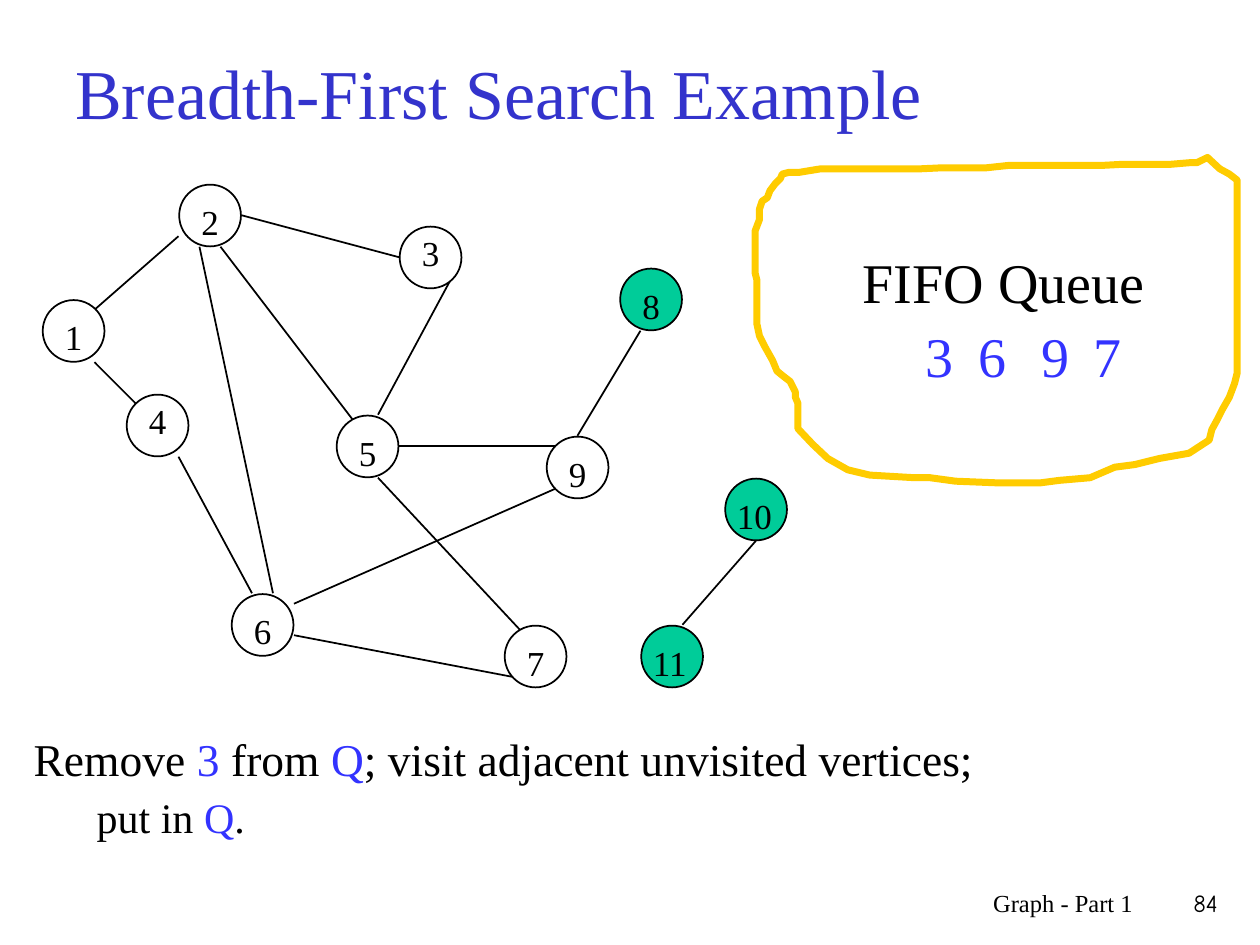
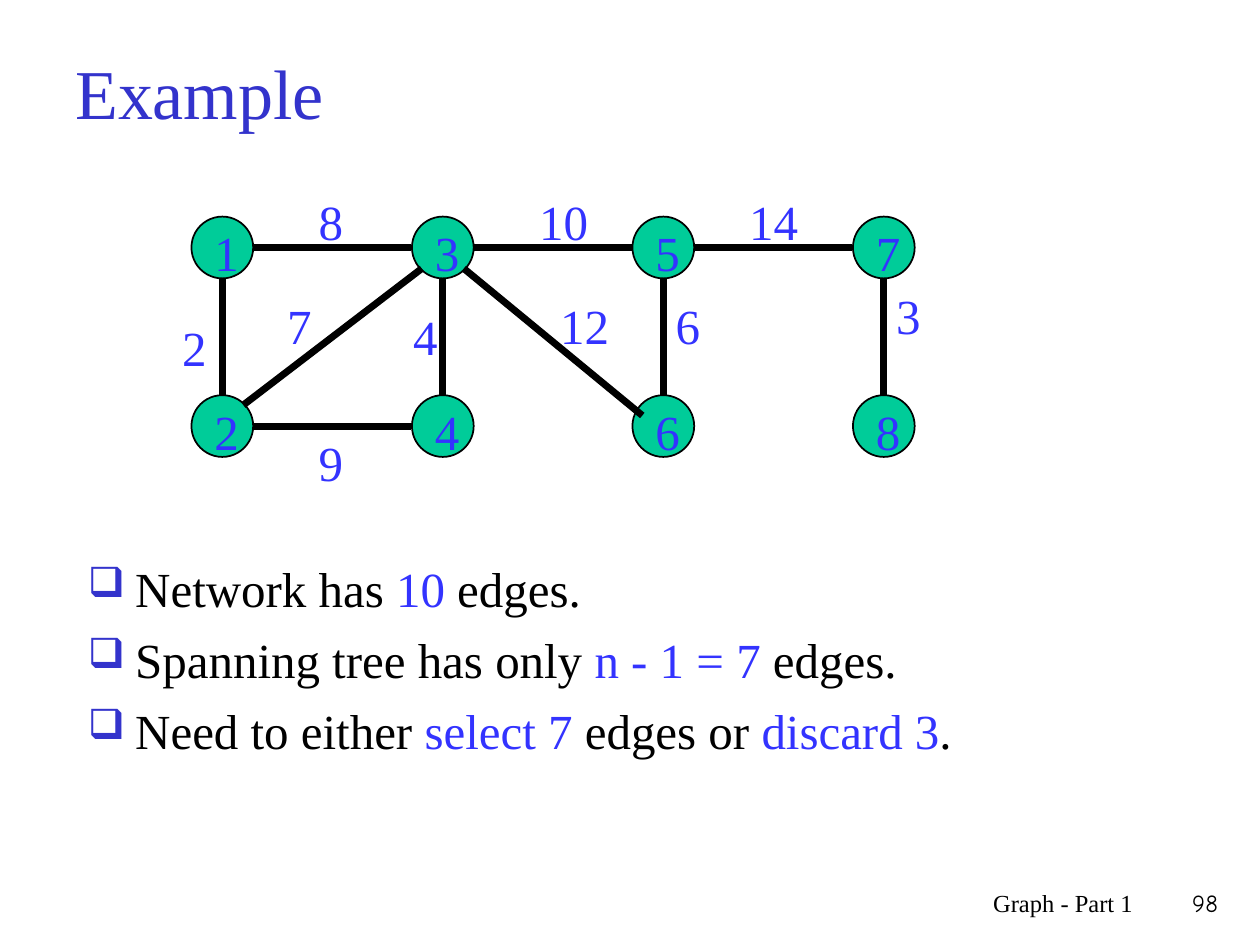
from pptx import Presentation
from pptx.dml.color import RGBColor
from pptx.enum.shapes import MSO_CONNECTOR, MSO_SHAPE
from pptx.enum.text import MSO_ANCHOR, PP_ALIGN
from pptx.oxml.ns import qn
from pptx.util import Pt
from lxml.etree import SubElement

BLACK = RGBColor(0x00, 0x00, 0x00)
WHITE = RGBColor(0xFF, 0xFF, 0xFF)
GREEN = RGBColor(0x00, 0xCC, 0x99)
GOLD = RGBColor(0xFF, 0xCC, 0x00)
INDIGO = RGBColor(0x33, 0x33, 0xCC)
BLUE = RGBColor(0x33, 0x33, 0xFF)
SERIF = "Times New Roman"
COMIC = "Comic Neue"
FOOTER = "Graph - Part 1"
DIAMETER = 35.3
RADIUS = DIAMETER / 2

SEARCH_TITLE = "Breadth-First Search Example"
SEARCH_STEP = [
    ["Remove ", "3 ", "from ", "Q", "; visit adjacent unvisited vertices;"],
    ["put in ", "Q", "."],
]
STEP_FORMATS = [
    {"size": 26, "margin": 27, "indent": -27, "before": 0},
    {"size": 24, "margin": 58.5, "indent": -22.5, "before": 6.5},
]
SEARCH_VERTICES = {
    "1": (24, 171), "2": (102, 105), "3": (228, 129), "4": (72, 225),
    "5": (192, 237), "6": (132, 339), "7": (288, 357), "8": (354, 153),
    "9": (312, 249), "10": (414, 273), "11": (366, 357),
}
UNVISITED = {"8", "10", "11"}
RAISED_LABELS = {"3", "4"}
SEARCH_EDGES = [
    (102, 135, 54, 177), (126, 141, 204, 243), (54, 207, 78, 231),
    (102, 261, 144, 339), (168, 363, 294, 387), (258, 159, 216, 237),
    (216, 273, 300, 363), (366, 189, 330, 249), (390, 357, 432, 309),
    (228, 255, 318, 255), (138, 123, 228, 147), (114, 141, 156, 339),
    (168, 345, 318, 279),
]
QUEUE_TITLE = "FIFO Queue"
QUEUE = [("3", 522), ("6", 552), ("9", 588), ("7", 618)]
QUEUE_LOOP = [
    (690, 90), (684, 93), (680, 93), (668, 94), (640, 94), (631, 94.5),
    (577, 94.5), (563, 96), (537, 96), (526, 96.5), (469, 96.5),
    (457, 98.5), (451, 98.5), (447, 99.5), (446, 102), (443, 105),
    (440, 109), (438.5, 113), (435.5, 115), (434, 119.5), (434, 125.5),
    (431.5, 132), (431.5, 156), (432.5, 160), (432.5, 185), (434, 192),
    (437, 198), (441.5, 206), (444, 212), (447, 214.5), (451.5, 218),
    (454.5, 224), (454.5, 227), (456, 230.5), (456, 245), (464.5, 254),
    (473, 262), (484.5, 268.5), (497, 271.5), (522.5, 273), (531.5, 273),
    (546, 275), (571.5, 276), (594, 276), (605.5, 274.5), (623, 273),
    (637, 267), (648.5, 265.5), (662.5, 262), (671, 260.5), (679.5, 259),
    (691, 251.5), (692.5, 245.5), (695.5, 240), (698.5, 234), (702.5, 227),
    (705.5, 219), (707, 213), (707, 103), (702.5, 99.5), (697, 96.5),
]

NETWORK_TITLE = "Example"
NETWORK_ROWS = ["1357", "2468"]
NETWORK_LEFT, NETWORK_TOP = 109.4, 123.8
COLUMN_STEP, ROW_STEP = 126, 102
RIGHT, LEFT, DOWN, UP = (18, 0), (-18, 0), (0, 18), (0, -18)
NETWORK_EDGES = [
    ("1", DOWN, "2", UP), ("3", DOWN, "4", UP),
    ("5", DOWN, "6", UP), ("7", DOWN, "8", UP),
    ("1", RIGHT, "3", LEFT), ("3", RIGHT, "5", LEFT),
    ("5", RIGHT, "7", LEFT), ("2", RIGHT, "4", LEFT),
    ("2", (12, -12), "3", (-12, 12)), ("3", (12, 12), "6", (-12, -6)),
]
WEIGHTS = [
    ("2", 97, 177.8), ("4", 229, 171.6), ("6", 379, 165.6),
    ("3", 505, 159.8), ("8", 175, 105.8), ("10", 301, 105.8),
    ("14", 421, 105.8), ("12", 313, 165.6), ("7", 157, 165.6),
    ("9", 175, 243.5),
]
NETWORK_FACTS = [
    ["Network has ", "10", " edges."],
    ["Spanning tree has only ", "n - 1 = 7", " edges."],
    ["Need to either ", "select 7", " edges or ", "discard 3", "."],
]


def set_font(font, **values):
    for name, value in values.items():
        if name == "color":
            font.color.rgb = value
        else:
            setattr(font, name, value)


def add_box(page, left, top, width, height):
    box = page.shapes.add_textbox(Pt(left), Pt(top), Pt(width), Pt(height))
    box.text_frame.word_wrap = True
    return box


def add_label(page, text, left, top, width, height, size, color=BLACK,
              name=SERIF, align=PP_ALIGN.LEFT, anchor=MSO_ANCHOR.TOP):
    box = add_box(page, left, top, width, height)
    box.text_frame.vertical_anchor = anchor
    para = box.text_frame.paragraphs[0]
    para.alignment = align
    span = para.add_run()
    span.text = text
    set_font(span.font, name=name, size=Pt(size), color=color)


def add_paragraph(frame, index, parts, size, margin, indent, before,
                  line_spacing=1.0, bullet=None):
    para = frame.paragraphs[0] if index == 0 else frame.add_paragraph()
    para.line_spacing = line_spacing
    para.space_before = Pt(before)
    properties = para._p.get_or_add_pPr()
    properties.set("marL", str(Pt(margin)))
    properties.set("indent", str(Pt(indent)))
    if bullet:
        color = SubElement(properties, qn("a:buClr"))
        SubElement(color, qn("a:srgbClr"), val=str(INDIGO))
        SubElement(properties, qn("a:buSzPct"), val="85000")
        SubElement(properties, qn("a:buChar"), char=bullet)
    for position, text in enumerate(parts):
        span = para.add_run()
        span.text = text
        set_font(span.font, name=SERIF, size=Pt(size),
                 color=BLUE if position % 2 else BLACK)


def add_vertex(page, left, top, fill):
    circle = page.shapes.add_shape(
        MSO_SHAPE.OVAL, Pt(left), Pt(top), Pt(DIAMETER), Pt(DIAMETER))
    circle.shadow.inherit = False
    circle.fill.solid()
    circle.fill.fore_color.rgb = fill
    circle.line.color.rgb = BLACK
    circle.line.width = Pt(1)


def add_edge(page, start_x, start_y, end_x, end_y, weight):
    edge = page.shapes.add_connector(
        MSO_CONNECTOR.STRAIGHT, Pt(start_x), Pt(start_y), Pt(end_x), Pt(end_y))
    edge.line.color.rgb = BLACK
    edge.line.width = Pt(weight)
    SubElement(edge._element.spPr, qn("a:effectLst"))


def add_page(deck, title, number):
    page = deck.slides.add_slide(deck.slide_layouts[6])
    add_label(page, title, 36, 21.6, 648, 61.2, 40, INDIGO,
              anchor=MSO_ANCHOR.MIDDLE)
    add_label(page, FOOTER, 426, 504, 228.5, 36, 14, align=PP_ALIGN.RIGHT)
    add_label(page, number, 654, 504, 49, 36, 14, name=COMIC,
              align=PP_ALIGN.RIGHT)
    return page


def build_search(deck):
    page = add_page(deck, SEARCH_TITLE, "84")
    step = add_box(page, 12.2, 417.6, 707.8, 56)
    for index, (parts, values) in enumerate(zip(SEARCH_STEP, STEP_FORMATS)):
        add_paragraph(step.text_frame, index, parts, line_spacing=0.9, **values)
    for edge in SEARCH_EDGES:
        add_edge(page, *edge, weight=1)
    for name, (left, top) in SEARCH_VERTICES.items():
        add_vertex(page, left + 0.4, top + 0.5,
                   GREEN if name in UNVISITED else WHITE)
        wide = len(name) > 1
        add_label(page, name, left + (0 if wide else 6),
                  top + (0 if name in RAISED_LABELS else 6),
                  36 if wide else 18, 31, 20)
    add_label(page, QUEUE_TITLE, 486, 138, 222, 103, 32)
    for name, left in QUEUE:
        add_label(page, name, left, 180, 30, 45, 32, BLUE)
    points = [(Pt(x), Pt(y)) for x, y in QUEUE_LOOP]
    builder = page.shapes.build_freeform(*points[0])
    builder.add_line_segments(points[1:], close=True)
    loop = builder.convert_to_shape()
    loop.shadow.inherit = False
    loop.fill.background()
    loop.line.color.rgb = GOLD
    loop.line.width = Pt(4)


def build_network(deck):
    page = add_page(deck, NETWORK_TITLE, "98")
    facts = add_box(page, 43.2, 315.4, 612, 126)
    for index, parts in enumerate(NETWORK_FACTS):
        add_paragraph(facts.text_frame, index, parts, 28, 27, -27,
                      7 if index else 0, bullet="❑")
    centers = {}
    for row, names in enumerate(NETWORK_ROWS):
        for column, name in enumerate(names):
            left = NETWORK_LEFT + column * COLUMN_STEP
            top = NETWORK_TOP + row * ROW_STEP
            centers[name] = (left + RADIUS, top + RADIUS)
            add_vertex(page, left, top, GREEN)
            add_label(page, name, left + 6, top, 18, 41, 28, BLUE)
    for start, leave, end, arrive in NETWORK_EDGES:
        ends = [center + shift
                for name, offset in ((start, leave), (end, arrive))
                for center, shift in zip(centers[name], offset)]
        add_edge(page, *ends, weight=4)
    for text, left, top in WEIGHTS:
        add_label(page, text, left, top, 57 if len(text) > 1 else 24, 41,
                  28, BLUE)


def main():
    deck = Presentation()
    deck.slide_width, deck.slide_height = Pt(720), Pt(540)
    build_search(deck)
    build_network(deck)
    deck.save("out.pptx")


if __name__ == "__main__":
    main()
